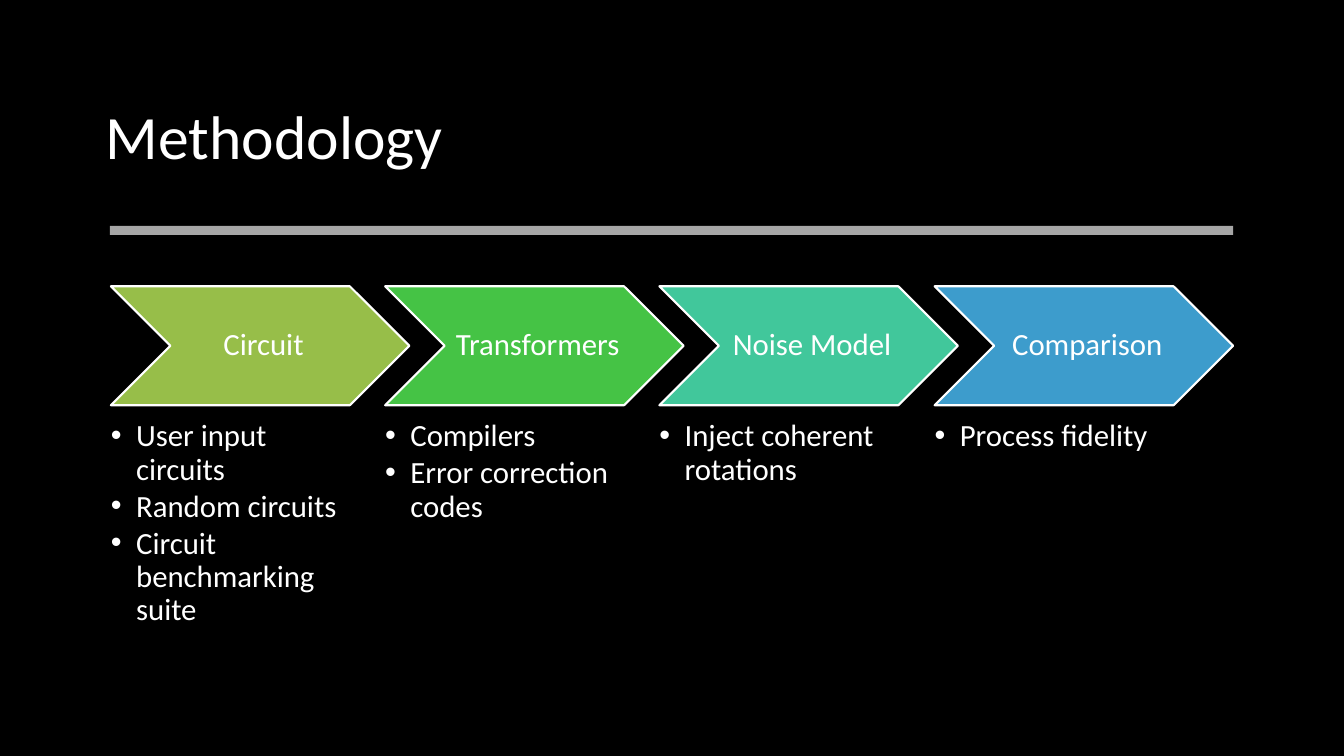
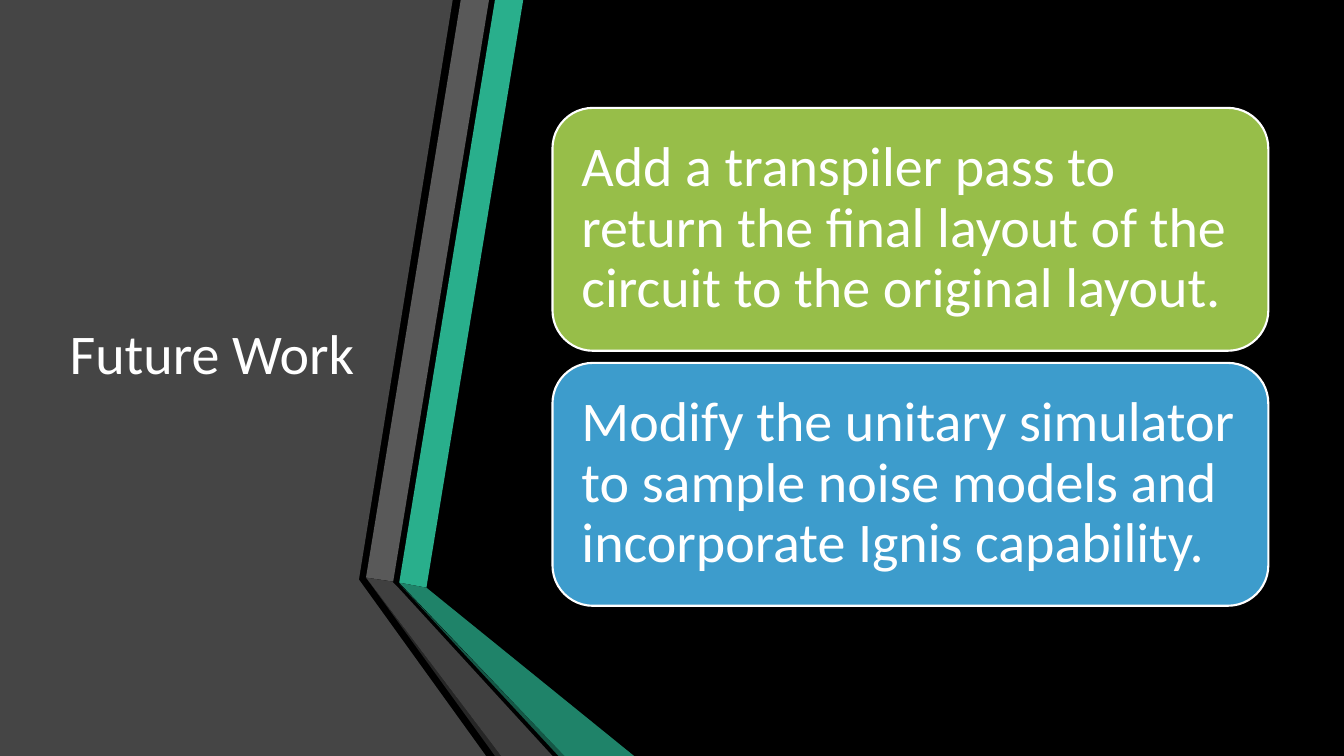
from lxml import etree
from pptx import Presentation, util as u
from pptx.dml.color import RGBColor
from pptx.enum import shapes, text
from pptx.oxml.ns import qn

PX = 9144
BLACK, WHITE = "000000", "FFFFFF"
GREEN, LIME, TEAL, BLUE = "97BE49", "45C345", "41C79B", "3D9CCC"


def paint(fill, color):
    """Fill with one solid hex colour."""
    fill.solid()
    fill.fore_color.rgb = RGBColor.from_string(color)


class Deck:
    """Holds the shared style, the presentation and the current slide."""

    font = "Calibri"
    line_spacing = 0.9

    def __init__(self, width, height):
        """Start a deck with a black master background."""
        self.prs = Presentation()
        self.prs.slide_width, self.prs.slide_height = width * PX, height * PX
        paint(self.prs.slide_master.background.fill, BLACK)

    def slide(self, layout):
        """Add a slide with the named layout."""
        self.s = self.prs.slides.add_slide(self.prs.slide_layouts.get_by_name(layout))

    def place(self, sp, box):
        """Move a placeholder to a box and bring it to the front."""
        sp.left, sp.top, sp.width, sp.height = (v * PX for v in box)
        sp._element.getparent().append(sp._element)

    def label(self, sp, lines, size, margins, anchor="MIDDLE", align="LEFT", after=0):
        """Set the paragraphs of a shape in the deck style."""
        tf = sp.text_frame
        tf.text = "\n".join(lines)
        tf.word_wrap = True
        tf.auto_size = text.MSO_AUTO_SIZE.NONE
        tf.vertical_anchor = text.MSO_ANCHOR[anchor]
        tf.margin_left, tf.margin_top, tf.margin_right, tf.margin_bottom = (m * PX for m in margins)
        for p in tf.paragraphs:
            p.alignment = text.PP_ALIGN[align]
            p.line_spacing = self.line_spacing
            p.space_before, p.space_after = u.Pt(0), u.Pt(after)
            for r in p.runs:
                r.font.name, r.font.size, r.font.bold = self.font, u.Pt(size), False
                r.font.color.rgb = RGBColor.from_string(WHITE)

    def title(self, words, box, size):
        """Fill and place the title placeholder."""
        sp = self.s.shapes.title
        self.place(sp, box)
        self.label(sp, [words], size, (10, 5, 10, 5))

    def bullets(self, idx, items, box):
        """Fill and place a body placeholder as a bulleted list."""
        sp = self.s.placeholders[idx]
        self.place(sp, box)
        self.label(sp, items, 22, (0, 0, 0, 0), anchor="TOP", after=2.6)
        for p in sp.text_frame.paragraphs:
            pPr = p._p.get_or_add_pPr()
            pPr.set("marL", str(25 * PX))
            pPr.set("indent", str(-25 * PX))
            etree.SubElement(pPr, qn("a:buFont")).set("typeface", "Arial")
            etree.SubElement(pPr, qn("a:buChar")).set("char", "•")

    def shape(self, kind, box, color, outlined=True):
        """Add a flat preset shape with an optional white outline."""
        sp = self.s.shapes.add_shape(shapes.MSO_SHAPE[kind], *(v * PX for v in box))
        sp.shadow.inherit = False
        paint(sp.fill, color)
        if outlined:
            paint(sp.line.fill, WHITE)
            sp.line.width = u.Pt(1.5)
        else:
            sp.line.fill.background()
        return sp

    def rule(self, box, alpha):
        """Add a translucent white bar."""
        sp = self.shape("RECTANGLE", box, WHITE, outlined=False)
        clr = sp._element.spPr.find(qn("a:solidFill"))[0]
        etree.SubElement(clr, qn("a:alpha")).set("val", str(alpha * 1000))

    def polygon(self, color, points):
        """Add a closed outline with a plain fill."""
        fb = self.s.shapes.build_freeform(*points[0], scale=PX)
        fb.add_line_segments(points[1:], close=True)
        sp = fb.convert_to_shape()
        sp.shadow.inherit = False
        paint(sp.fill, color)
        sp.line.fill.background()


def methodology(deck):
    """Build the four-step process slide."""
    steps = [
        ("Circuit", GREEN, ["User input circuits", "Random circuits", "Circuit benchmarking suite"]),
        ("Transformers", LIME, ["Compilers", "Error correction codes"]),
        ("Noise Model", TEAL, ["Inject coherent rotations"]),
        ("Comparison", BLUE, ["Process fidelity"]),
    ]
    deck.slide("Comparison")
    deck.title("Methodology", (95, 66, 1143, 145), 44)
    deck.rule((109, 224, 1114, 9), 65)
    for i, (name, color, items) in enumerate(steps):
        left = 110 + i * 817 // 3
        sp = deck.shape("CHEVRON", (left, 284, 296, 118), color)
        deck.label(sp, [name], 22, (10, 3, 3, 3), align="CENTER")
        deck.bullets(i + 1, items, (left, 417, 237, 217))


def future_work(deck):
    """Build the slide with a folded ribbon and two statements."""
    ribbon = [
        ("454545", [(0, 0), (449, 0), (356, 575), (482, 750), (0, 750)]),
        ("29AF8C", [(396, 578), (423, 583), (519, 0), (491, 0)]),
        ("595959", [(485, 0), (457, 0), (363, 573), (390, 577)]),
        ("262626", [(363, 573), (491, 750), (497, 750)]),
        ("155746", [(396, 579), (554, 750), (560, 750)]),
        ("1F8369", [(396, 578), (560, 750), (629, 750), (423, 583)]),
        ("404040", [(363, 573), (497, 750), (548, 750), (395, 583), (389, 577)]),
    ]
    goals = [
        (GREEN, "Add a transpiler pass to return the final layout of the circuit to the original layout."),
        (BLUE, "Modify the unitary simulator to sample noise models and incorporate Ignis capability."),
    ]
    deck.slide("Title Only")
    for color, points in ribbon:
        deck.polygon(color, points)
    deck.title("Future Work", (59, 75, 304, 558), 40)
    for i, (color, goal) in enumerate(goals):
        sp = deck.shape("ROUNDED_RECTANGLE", (548, 107 + i * 253, 710, 241), color)
        deck.label(sp, [goal], 40, (17, 17, 17, 17))


def main():
    """Build and save the deck."""
    deck = Deck(1333, 750)
    methodology(deck)
    future_work(deck)
    deck.prs.save("out.pptx")


if __name__ == "__main__":
    main()
